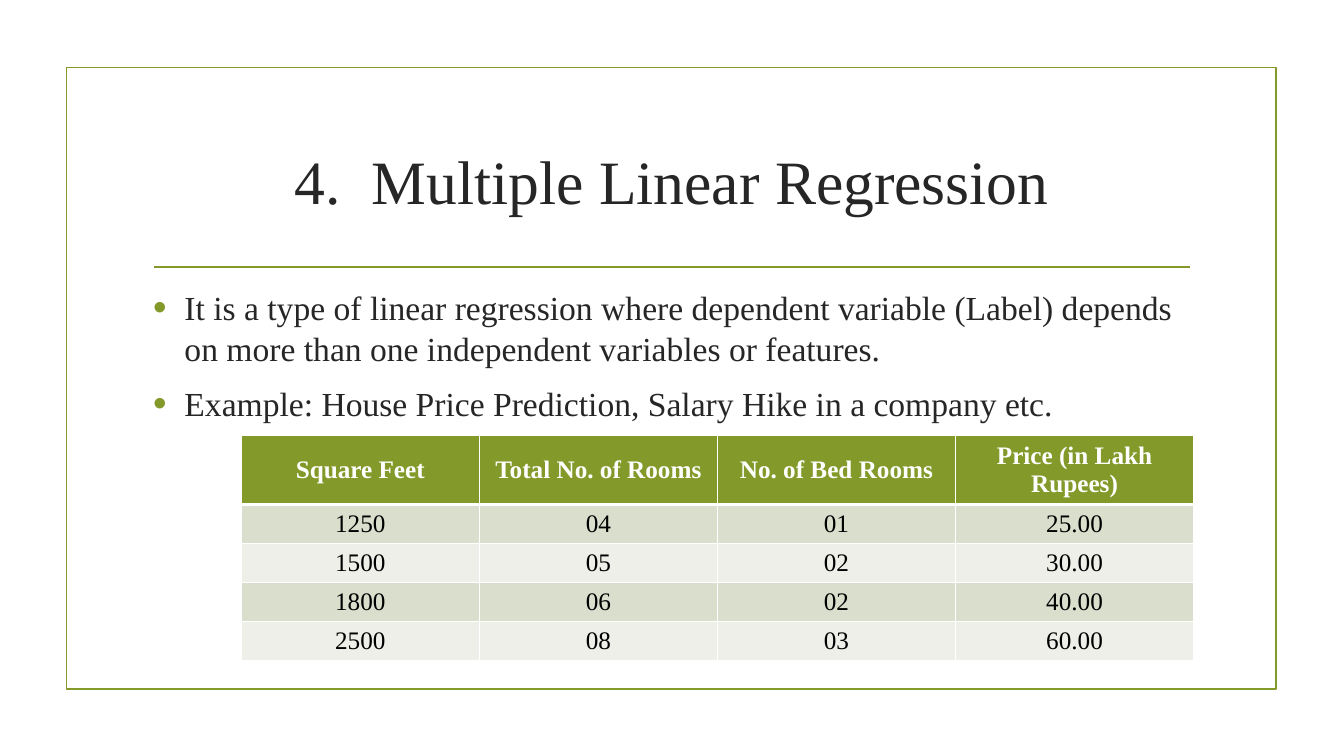
from lxml import etree
from pptx import Presentation
from pptx import util as u
from pptx.dml.color import RGBColor
from pptx.enum import shapes, text
from pptx.oxml import ns

FONT = "Times New Roman"
GREEN = "83992A"
WHITE = "FFFFFF"
INK = "262626"
BANDS = ("D9DECD", "EDEFE8")

POINTS = (
    "It is a type of linear regression where dependent variable (Label) "
    "depends on more than one independent variables or features.",
    "Example: House Price Prediction, Salary Hike in a company etc.",
)
HOUSES = (
    ("Square Feet", "Total No. of Rooms", "No. of Bed Rooms", "Price (in Lakh Rupees)"),
    ("1250", "04", "01", "25.00"),
    ("1500", "05", "02", "30.00"),
    ("1800", "06", "02", "40.00"),
    ("2500", "08", "03", "60.00"),
)


def color(code):
    return RGBColor.from_string(code)


def style(para, size, code, bold=False):
    for run in para.runs:
        run.font.name = FONT
        run.font.size = u.Pt(size)
        run.font.bold = bold
        run.font.color.rgb = color(code)


def node(owner, tag, **attrs):
    item = etree.SubElement(owner, ns.qn(tag))
    for key, value in attrs.items():
        item.set(key, str(value))
    return item


def place(shape, left, top, width, height):
    shape.left, shape.top = u.Cm(left), u.Cm(top)
    shape.width, shape.height = u.Cm(width), u.Cm(height)


def stroke(shape):
    shape.line.color.rgb = color(GREEN)
    shape.line.width = u.Pt(1.25)


def add_frame(slide):
    frame = slide.shapes.add_shape(
        shapes.MSO_SHAPE.RECTANGLE, u.Cm(1.68), u.Cm(1.7), u.Cm(30.48), u.Cm(15.67))
    frame.shadow.inherit = False
    frame.fill.background()
    stroke(frame)


def add_rule(slide):
    rule = slide.shapes.add_connector(
        shapes.MSO_CONNECTOR.STRAIGHT, u.Cm(3.89), u.Cm(6.73), u.Cm(30), u.Cm(6.73))
    stroke(rule)
    node(rule._element.spPr, "a:effectLst")


def set_title(slide):
    title = slide.shapes.title
    place(title, 3.61, 2.72, 26.67, 3.63)
    frame = title.text_frame
    frame.text = "4.  Multiple Linear Regression"
    frame.vertical_anchor = text.MSO_ANCHOR.MIDDLE
    para = frame.paragraphs[0]
    para.alignment = text.PP_ALIGN.CENTER
    style(para, 44, INK)


def add_bullet(para):
    props = para._p.get_or_add_pPr()
    props.set("marL", str(u.Cm(0.79)))
    props.set("indent", str(-u.Cm(0.79)))
    node(node(props, "a:buClr"), "a:srgbClr", val=GREEN)
    node(props, "a:buSzPct", val=115000)
    node(props, "a:buFont", typeface="Arial")
    node(props, "a:buChar", char="•")


def add_points(slide):
    box = slide.shapes.add_textbox(u.Cm(3.61), u.Cm(7.11), u.Cm(26.67), u.Cm(10.06))
    frame = box.text_frame
    frame.word_wrap = True
    frame.text = "\n".join(POINTS)
    for para in frame.paragraphs:
        para.space_before = u.Pt(4.8)
        para.space_after = u.Pt(6)
        add_bullet(para)
        style(para, 24, INK)


def add_edges(cell, base):
    props = cell._tc.get_or_add_tcPr()
    for side, width in (("L", 1), ("R", 1), ("T", 1), ("B", base)):
        edge = node(props, "a:ln" + side, w=u.Pt(width))
        node(node(edge, "a:solidFill"), "a:srgbClr", val=WHITE)


def fill_cell(cell, words, row):
    head = row == 0
    cell.text = words
    cell.vertical_anchor = text.MSO_ANCHOR.MIDDLE
    cell.margin_top = cell.margin_bottom = u.Cm(0.11)
    cell.margin_left = cell.margin_right = u.Cm(0.23)
    add_edges(cell, 3 if head else 1)
    cell.fill.solid()
    cell.fill.fore_color.rgb = color(GREEN if head else BANDS[(row - 1) % 2])
    para = cell.text_frame.paragraphs[0]
    para.alignment = text.PP_ALIGN.CENTER
    style(para, 18, WHITE if head else "000000", head)


def add_prices(slide):
    table = slide.shapes.add_table(
        len(HOUSES), len(HOUSES[0]), u.Cm(6.08), u.Cm(10.97), u.Cm(24), u.Cm(5.52)).table
    for row, house in enumerate(HOUSES):
        table.rows[row].height = u.Cm(0.96 if row else 1.68)
        for col, words in enumerate(house):
            fill_cell(table.cell(row, col), words, row)


def main():
    deck = Presentation()
    deck.slide_width, deck.slide_height = u.Cm(33.87), u.Cm(19.05)
    slide = deck.slides.add_slide(deck.slide_layouts[5])
    add_frame(slide)
    add_rule(slide)
    set_title(slide)
    add_points(slide)
    add_prices(slide)
    deck.save("out.pptx")


if __name__ == "__main__":
    main()
